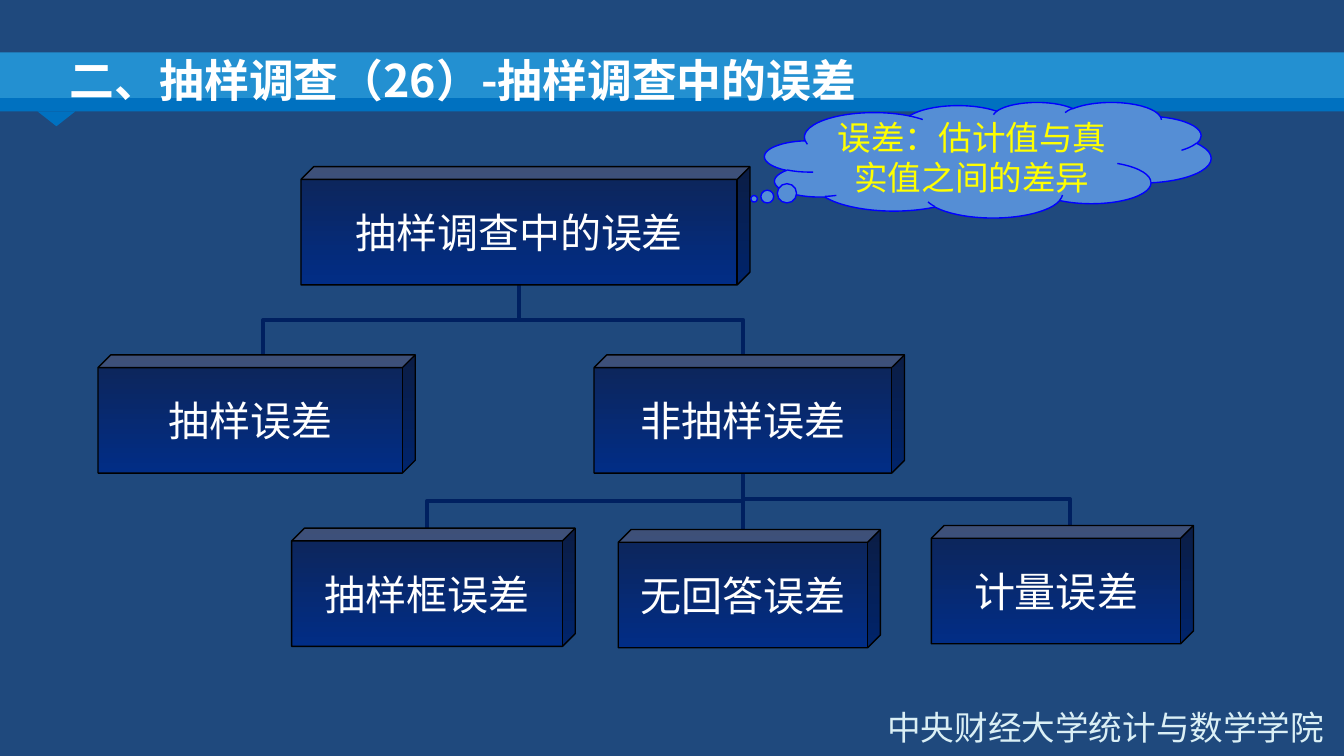
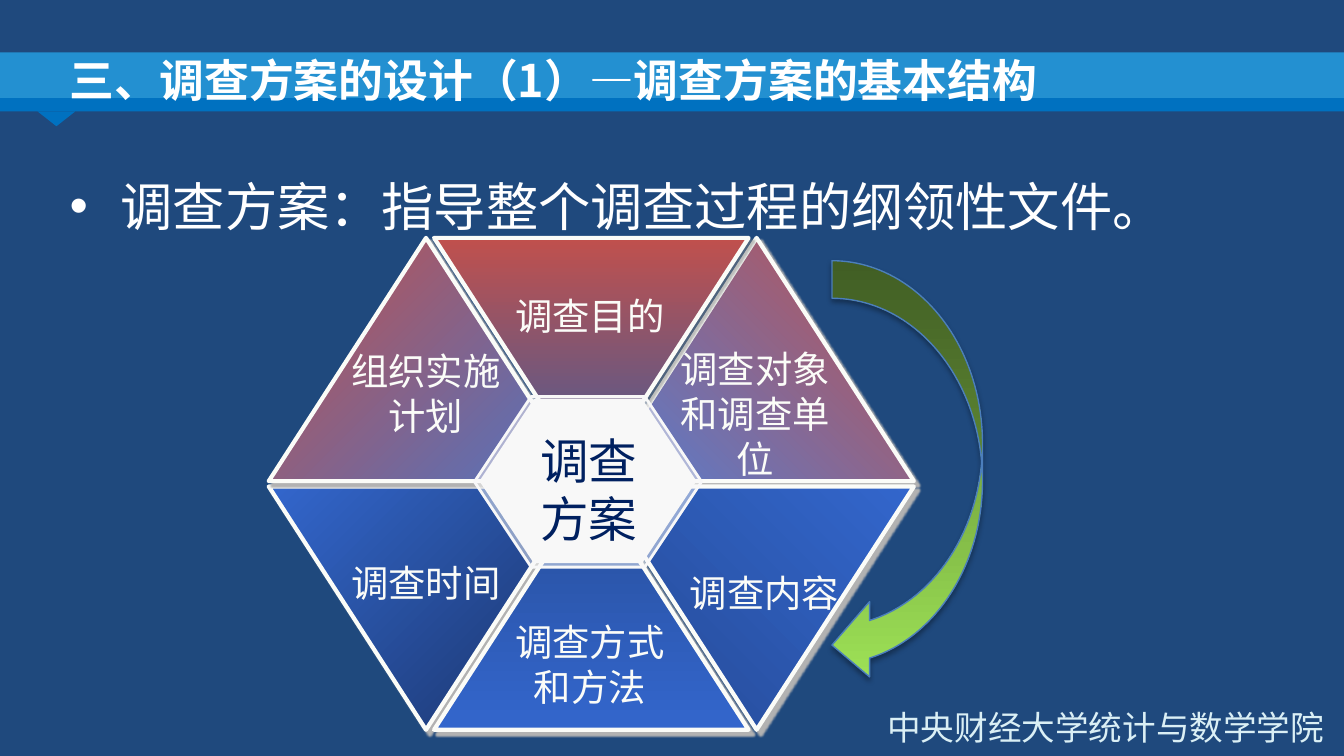
from lxml import etree
from pptx import Presentation
from pptx.dml.color import RGBColor
from pptx.enum.shapes import MSO_CONNECTOR, MSO_SHAPE
from pptx.enum.text import MSO_ANCHOR, PP_ALIGN
from pptx.oxml.ns import qn
from pptx.util import Inches, Pt

ELBOW, STRAIGHT = MSO_CONNECTOR.ELBOW, MSO_CONNECTOR.STRAIGHT
RECTANGLE, TRIANGLE = MSO_SHAPE.RECTANGLE, MSO_SHAPE.ISOSCELES_TRIANGLE
CUBE, CLOUD, CURVED_ARROW = MSO_SHAPE.CUBE, MSO_SHAPE.CLOUD_CALLOUT, MSO_SHAPE.CURVED_LEFT_ARROW
TOP, MIDDLE = MSO_ANCHOR.TOP, MSO_ANCHOR.MIDDLE
LEFT, CENTER, RIGHT = PP_ALIGN.LEFT, PP_ALIGN.CENTER, PP_ALIGN.RIGHT

SANS, SERIF = "Noto Sans CJK SC", "Times New Roman"
COLORS = {
    "background": "1F497D", "band": "2390D1", "band_edge": "0071C0", "footer": "DAEFF5",
    "white": "FFFFFF", "black": "000000", "navy": "002060", "cube_low": "012D86",
    "cube_high": "0E2557", "cloud": "558ED5", "cloud_line": "0000FF", "yellow": "FFFF00",
    "label": "FBFCF8", "hub": "F8F8F8", "red": "C0504D", "blue": "3366CC",
    "blue_dark": "1A3468", "blue_light": "547ED2", "blue_soft": "4E74C2",
    "blue_gray": "3E5C9A", "blue_mid": "274E9B", "blue_deep": "254A95",
    "arrow_light": "9EE256", "arrow_dark": "52762D", "arrow_line": "4B7EBC",
    "shadow_light": "B2B2B2", "shadow_gray": "808080",
}


def rgb(name):
    """Return the named colour."""
    return RGBColor.from_string(COLORS[name])


def box(left, top, width, height):
    """Return a box given in inches as lengths."""
    return Inches(left), Inches(top), Inches(width), Inches(height)


def transform(shape, **attributes):
    """Set rotation or flip attributes on a shape's transform."""
    for name, value in attributes.items():
        shape._element.spPr.find(qn("a:xfrm")).set(name, value)


def paint(shape, fill, line=None, weight=0.75):
    """Fill a shape with a colour or (start, end, clockwise angle) and outline it."""
    shape.shadow.inherit = False
    if isinstance(fill, tuple):
        start, end, angle = fill
        shape.fill.gradient()
        shape.fill.gradient_angle = 360 - angle
        for stop, name in zip(shape.fill.gradient_stops, (start, end)):
            stop.color.rgb = rgb(name)
    else:
        shape.fill.solid()
        shape.fill.fore_color.rgb = rgb(fill)
    if line:
        shape.line.color.rgb = rgb(line)
        shape.line.width = Pt(weight)
    else:
        shape.line.fill.background()


def add_shadow(shape, color, opacity, blur, distance, angle):
    """Give a painted shape an outer shadow."""
    effects = shape._element.spPr.find(qn("a:effectLst"))
    shadow = etree.SubElement(effects, qn("a:outerShdw"), blurRad=str(Pt(blur)),
                              dist=str(Pt(distance)), dir=str(angle * 60000),
                              algn="ctr", rotWithShape="0")
    tint = etree.SubElement(shadow, qn("a:srgbClr"), val=COLORS[color])
    etree.SubElement(tint, qn("a:alpha"), val=str(opacity * 1000))


def add_bullet(paragraph, indent):
    """Give a paragraph a round bullet with a hanging indent in inches."""
    properties = paragraph._p.get_or_add_pPr()
    properties.set("marL", str(Inches(indent)))
    properties.set("indent", str(-Inches(indent)))
    etree.SubElement(properties, qn("a:buFont"), typeface="Arial")
    etree.SubElement(properties, qn("a:buChar"), char="•")


def write(shape, text, size, color, font=SANS, align=CENTER, anchor=MIDDLE,
          inset=None, wrap=True, bold=False, bullet_indent=None):
    """Write text into a shape, one paragraph for each line."""
    frame = shape.text_frame
    frame.text = text
    frame.word_wrap = wrap
    frame.vertical_anchor = anchor
    if inset is not None:
        frame.margin_left = frame.margin_right = Inches(inset)
        frame.margin_top = frame.margin_bottom = Inches(inset)
    for paragraph in frame.paragraphs:
        paragraph.alignment = align
        if bullet_indent:
            add_bullet(paragraph, bullet_indent)
        paragraph.font.size = Pt(size)
        paragraph.font.bold = bold
        paragraph.font.color.rgb = rgb(color)
        paragraph.font.name = font
        properties = paragraph._p.get_or_add_pPr().find(qn("a:defRPr"))
        etree.SubElement(properties, qn("a:ea"), typeface=SANS)


def add_header(slide, title, left=0, top=0.39):
    """Draw the title band with its pointer and place the title on it."""
    for kind, area, color in (
        (TRIANGLE, (left + 0.28, top + 0.44, 0.28, 0.11), "band_edge"),
        (RECTANGLE, (left, top, 10, 0.35), "band"),
        (RECTANGLE, (left, top + 0.34, 10, 0.1), "band_edge"),
    ):
        shape = slide.shapes.add_shape(kind, *box(*area))
        paint(shape, color)
        if kind == TRIANGLE:
            transform(shape, flipV="1")
    placeholder = slide.shapes.title
    placeholder.left, placeholder.top, placeholder.width, placeholder.height = box(
        left + 0.42, top - 0.02, 9, 0.44)
    write(placeholder, title, 24, "white", align=LEFT, bold=True)
    slide.shapes._spTree.append(placeholder._element)


def add_footer(slide, left=5.82, top=5.21):
    """Write the school name at the bottom right."""
    footer = slide.shapes.add_textbox(*box(left, top, 4.13, 0.4))
    write(footer, "中央财经大学统计与数学学院", 18, "footer", align=RIGHT, anchor=TOP)


def new_slide(presentation, title):
    """Add a title-only slide with the shared header and footer."""
    slide = presentation.slides.add_slide(presentation.slide_layouts[5])
    add_header(slide, title)
    add_footer(slide)
    return slide


def add_branch(slide, child_x, child_y, parent_x, parent_y):
    """Join a child's top to its parent's bottom, bending halfway."""
    rise, run = child_y - parent_y, abs(parent_x - child_x)
    if run:
        left = (child_x + parent_x - rise) / 2
        top = (child_y + parent_y - run) / 2
        connector = slide.shapes.add_connector(
            ELBOW, *box(left, top, left + rise, top + run))
        transform(connector, rot=str(270 * 60000))
        if child_x > parent_x:
            transform(connector, flipV="1")
    else:
        connector = slide.shapes.add_connector(
            STRAIGHT, *box(child_x, child_y, parent_x, parent_y))
    connector.line.color.rgb = rgb("navy")
    connector.line.width = Pt(2.25)
    etree.SubElement(connector._element.spPr, qn("a:effectLst"))


def add_error_tree(slide, left, top):
    """Draw the tree of survey errors from its top left corner."""
    height = 0.88
    cubes = (
        ("抽样调查中的误差", 1.51, 0, 3.34),
        ("抽样误差", 0, 1.4, 2.36),
        ("抽样框误差", 1.44, 2.69, 2.11),
        ("无回答误差", 3.87, 2.7, 1.95),
        ("计量误差", 6.2, 2.67, 1.95),
        ("非抽样误差", 3.69, 1.4, 2.31),
    )
    root, group = (3.13, height), (4.8, 1.4 + height)
    branches = (
        (7.23, 2.67, group), (4.8, 2.7, group), (2.45, 2.69, group),
        (4.8, 1.4, root), (1.23, 1.4, root),
    )
    for x, y, (parent_x, parent_y) in branches:
        add_branch(slide, left + x, top + y, left + parent_x, top + parent_y)
    for text, x, y, width in cubes:
        cube = slide.shapes.add_shape(CUBE, *box(left + x, top + y, width, height))
        cube.adjustments[0] = 0.108
        paint(cube, ("cube_low", "cube_high", 270), "black")
        write(cube, text, 22, "white", SERIF, inset=0, wrap=False)


def add_definition_cloud(slide, left, top):
    """Draw the cloud that defines an error."""
    cloud = slide.shapes.add_shape(CLOUD, *box(left, top, 3.32, 0.86))
    cloud.adjustments[0], cloud.adjustments[1] = -0.524, 0.337
    paint(cloud, "cloud", "cloud_line")
    write(cloud, "误差：估计值与真实值之间的差异", 18, "yellow", SERIF, inset=0)


def add_statement(slide, left, top):
    """Write the bulleted statement about the survey plan."""
    statement = slide.shapes.add_textbox(*box(left, top, 9, 4.1))
    write(statement, "调查方案：指导整个调查过程的纲领性文件。", 28, "white", SERIF,
          align=LEFT, anchor=TOP, bullet_indent=0.38)
    statement.text_frame.paragraphs[0].line_spacing = 1.25


def add_hexagon(slide, left, top, width, height):
    """Draw one flat-topped hexagon of the hub."""
    corners = [(0.25, 0), (0.75, 0), (1, 0.5), (0.75, 1), (0.25, 1)]
    builder = slide.shapes.build_freeform(Inches(left), Inches(top + height / 2))
    builder.add_line_segments(
        [(Inches(left + x * width), Inches(top + y * height)) for x, y in corners])
    hexagon = builder.convert_to_shape()
    paint(hexagon, "hub", "hub", 1.5)
    return hexagon


def add_plan_wheel(slide, left, top):
    """Draw six triangles around the hub, with their labels."""
    step, row = 1.23, 1.85
    triangles = (
        (0, 1, True, ("blue", "blue_dark", 315)),
        (2, 0, False, ("blue_light", "red", 315)),
        (0, 0, False, ("red", "blue_soft", 45)),
        (1, 0, True, ("blue_gray", "red", 90)),
        (1, 1, False, ("blue_mid", "blue", 90)),
        (2, 1, True, ("blue_deep", "blue", 45)),
    )
    for column, line, inverted, fill in triangles:
        triangle = slide.shapes.add_shape(
            TRIANGLE, *box(left + column * step, top + line * row, 2.34, 1.81))
        paint(triangle, fill, "label", 2.25)
        if (column, line) == (1, 0):
            add_shadow(triangle, "shadow_gray", 50, 1, 2.8, 45)
        else:
            add_shadow(triangle, "shadow_light", 100, 1, 2.8, 45)
        if inverted:
            transform(triangle, rot=str(180 * 60000), flipH="1")
    labels = (
        ("调查目的", 1.76, 0.36, 0.43), ("调查时间", 0.54, 2.35, 0.43),
        ("调查内容", 3.06, 2.42, 0.43), ("调查方式和方法", 1.76, 2.79, 0.77),
        ("组织实施计划", 0.54, 0.77, 0.77), ("调查对象和调查单位", 2.99, 0.76, 1.1),
    )
    for text, x, y, height in labels:
        label = slide.shapes.add_textbox(*box(left + x, top + y, 1.26, height))
        write(label, text, 20, "label", anchor=TOP, inset=0.05)
    rim = add_hexagon(slide, left + 1.53, top + 1.18, 1.69, 1.27)
    rim_color = rim._element.spPr.find(qn("a:solidFill"))[0]
    etree.SubElement(rim_color, qn("a:alpha"), val="50000")
    add_hexagon(slide, left + 1.58, top + 1.21, 1.59, 1.2)
    hub = slide.shapes.add_textbox(*box(left + 1.81, top + 1.39, 1.14, 0.97))
    write(hub, "调查\n方案", 26, "navy", anchor=TOP, inset=0.05)


def add_cycle_arrow(slide, left, top):
    """Draw the curved arrow beside the wheel."""
    arrow = slide.shapes.add_shape(CURVED_ARROW, *box(left, top, 1.12, 3.14))
    paint(arrow, ("arrow_light", "arrow_dark", 270), "arrow_line")
    add_shadow(arrow, "black", 35, 3.1, 1.8, 90)


def build_error_slide(presentation):
    """Build the slide on errors in sample surveys."""
    slide = new_slide(presentation, "二、抽样调查（26）-抽样调查中的误差")
    add_error_tree(slide, 0.73, 1.24)
    add_definition_cloud(slide, 5.69, 0.76)


def build_plan_slide(presentation):
    """Build the slide on the structure of a survey plan."""
    slide = new_slide(presentation, "三、调查方案的设计（1）—调查方案的基本结构")
    add_statement(slide, 0.42, 1.13)
    add_plan_wheel(slide, 2, 1.77)
    add_cycle_arrow(slide, 6.19, 1.94)


def main():
    """Build and save the presentation."""
    presentation = Presentation()
    presentation.slide_width = Inches(10)
    presentation.slide_height = Inches(10) * 9 // 16
    background = presentation.slide_master.background.fill
    background.solid()
    background.fore_color.rgb = rgb("background")
    build_error_slide(presentation)
    build_plan_slide(presentation)
    presentation.save("out.pptx")


if __name__ == "__main__":
    main()
